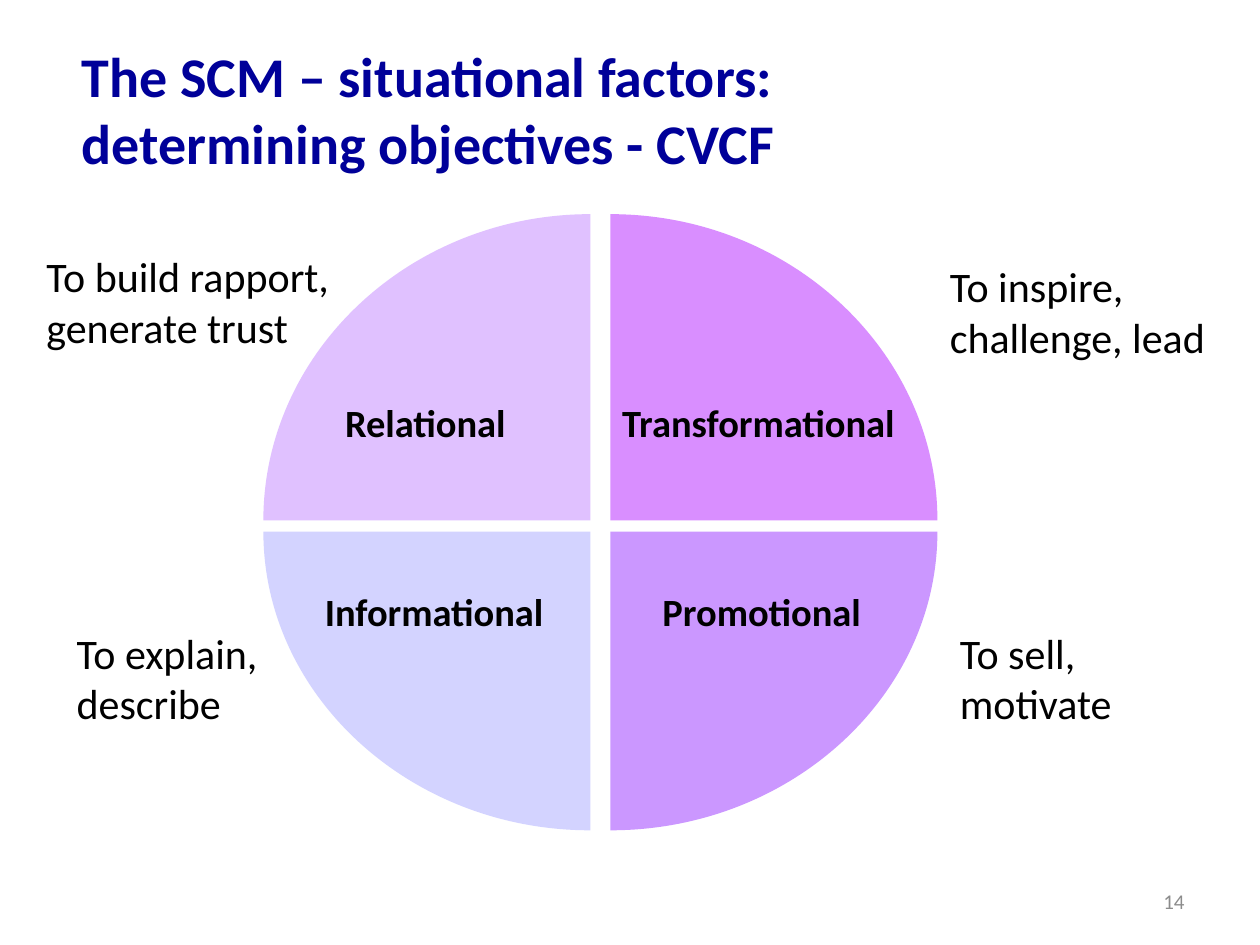
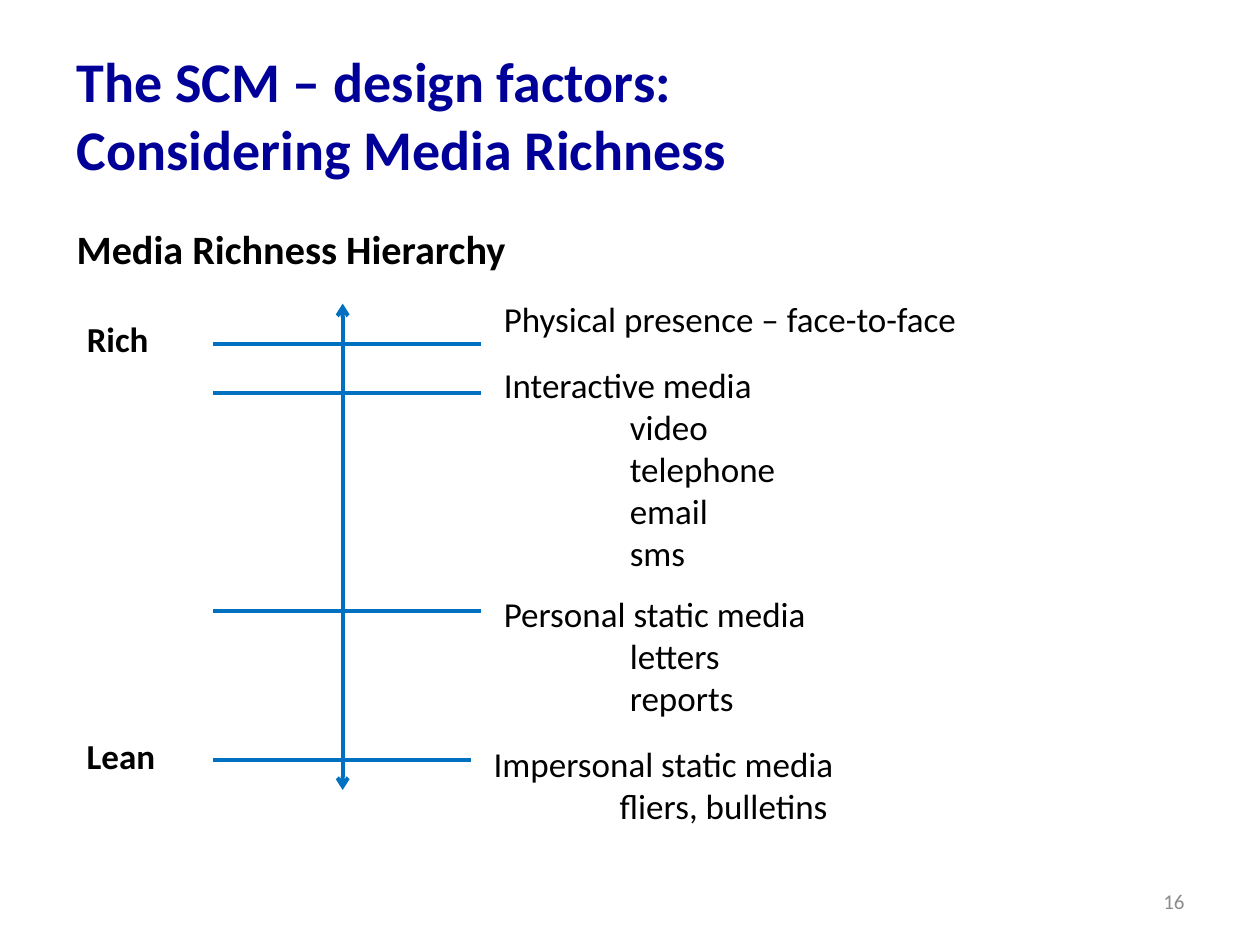
from lxml.etree import SubElement
from pptx import Presentation
from pptx.dml.color import RGBColor as RGB
from pptx.enum.shapes import MSO_CONNECTOR as LINE
from pptx.enum.text import MSO_ANCHOR as ANC, PP_ALIGN as ALIGN
from pptx.oxml.ns import qn
from pptx.util import Inches, Pt

FONT = "Calibri"
BEND = 0.55  # handle length of a quarter-ellipse curve
COLORS = {
    "title": "000099",
    "text": "000000",
    "number": "8C8C8C",
    "line": "0070C0",
    "relate": "D3A7FF",
    "transform": "C44FFF",
    "inform": "CCCCFF",
    "promote": "CB97FF",
}


def color(name):
    return RGB.from_string(COLORS[name])


def add_text(slide, box, lines, size, bold=False, ink="text",
             anchor=ANC.MIDDLE, align=ALIGN.LEFT, wrap=True, indent=0):
    """Write lines in a box; all lines after the first take the indent."""
    frame = slide.shapes.add_textbox(*map(Inches, box)).text_frame
    frame.word_wrap = wrap
    frame.vertical_anchor = anchor
    frame.text = "\n".join(lines)
    for i, par in enumerate(frame.paragraphs):
        par.alignment = align
        if i and indent:
            par._p.get_or_add_pPr().set("marL", str(Inches(indent)))
        for run in par.runs:
            font = run.font
            font.name, font.size, font.bold = FONT, Pt(size), bold
            font.color.rgb = color(ink)


def add_title(slide, box, lines, anchor=ANC.MIDDLE):
    add_text(slide, box, lines, 32, True, "title", anchor)


def add_number(slide, number):
    add_text(slide, (7.17, 6.95, 2.33, 0.4), [str(number)], 12,
             ink="number", align=ALIGN.RIGHT)


def add_line(slide, start, end, arrows=False):
    line = slide.shapes.add_connector(
        LINE.STRAIGHT, *map(Inches, (*start, *end)))
    line.line.color.rgb = color("line")
    line.line.width = Pt(2.25)
    if arrows:
        ln = line.line._get_or_add_ln()
        for end_tag in ("a:headEnd", "a:tailEnd"):
            SubElement(ln, qn(end_tag), type="arrow")
    SubElement(line._element.spPr, qn("a:effectLst"))


def add_quarter(slide, corner, reach, fill, alpha):
    """Quarter ellipse from its square corner; reach is signed (x, y)."""
    (x, y), (rx, ry) = corner, reach
    form = slide.shapes.build_freeform(Inches(x + rx), Inches(y))
    form.add_line_segments([(Inches(x), Inches(y + ry)),
                            (Inches(x), Inches(y))], close=True)
    shape = form.convert_to_shape()

    # Bend the slanted side into a curve
    side = next(shape._element.iter(qn("a:lnTo")))
    curve = side.makeelement(qn("a:cubicBezTo"))
    left, top = min(x, x + rx), min(y, y + ry)
    for u, v in [(1, BEND), (BEND, 1), (0, 1)]:
        SubElement(curve, qn("a:pt"), x=str(Inches(x + u * rx - left)),
                   y=str(Inches(y + v * ry - top)))
    side.getparent().replace(side, curve)

    shape.shadow.inherit = False
    shape.fill.solid()
    shape.fill.fore_color.rgb = color(fill)
    shape.line.fill.background()
    if alpha < 100:
        tint = shape._element.spPr.find(qn("a:solidFill"))[0]
        SubElement(tint, qn("a:alpha"), val=str(alpha * 1000))


def add_wheel(slide, box):
    """Four quarters parted by a cross-shaped gap."""
    left, top, width, height = box
    gap_x, gap_y = 0.16, 0.09
    rx, upper = (width - gap_x) / 2, 2.43
    lower = height - upper - gap_y
    quarters = [
        ("relate", 70, -1, -1), ("transform", 64, 1, -1),
        ("inform", 85, -1, 1), ("promote", 100, 1, 1),
    ]
    for fill, alpha, dx, dy in quarters:
        x = left + rx + (gap_x if dx > 0 else 0)
        y = top + upper + (gap_y if dy > 0 else 0)
        ry = lower if dy > 0 else upper
        add_quarter(slide, (x, y), (dx * rx, dy * ry), fill, alpha)

    # Names on the quarters: left, top, width relative to the wheel
    names = [
        ("Relational", 0.55, 1.42, 1.5),
        ("Informational", 0.39, 2.92, 1.97),
        ("Transformational", 2.75, 1.42, 2.43),
        ("Promotional", 3.07, 2.92, 1.8),
    ]
    for name, x, y, wide in names:
        add_text(slide, (left + x, top + y, wide, 0.47), [name], 22, True,
                 anchor=ANC.TOP, wrap=False)


def add_goals(slide):
    goals = [
        ((0.27, 1.94, 2.52, 1.18), ["To build rapport,", "generate trust"]),
        ((0.51, 4.93, 1.69, 1.18), ["To explain,", "describe"]),
        ((7.44, 2.02, 2.25, 1.58), ["To inspire,", "challenge, lead"]),
        ((7.52, 4.93, 1.43, 1.58), ["To sell,", "motivate"]),
    ]
    for box, lines in goals:
        add_text(slide, box, lines, 24, anchor=ANC.TOP, wrap=False)


def add_scale(slide, box):
    """Double arrow with a rung for each level of richness."""
    left, top, width, height = box
    for y, short in [(0.32, 0), (0.71, 0), (2.44, 0), (3.62, 0.08)]:
        add_line(slide, (left, top + y), (left + width - short, top + y))
    mid = left + 1.03
    add_line(slide, (mid, top), (mid, top + height), arrows=True)

    # Ends of the scale
    for name, y, wide in [("Rich", 0, 0.71), ("Lean", 3.31, 0.87)]:
        add_text(slide, (left - 1.1, top + y, wide, 0.55), [name], 20, True)


def add_media(slide):
    media = [
        (3.9, 2.25, ["Physical presence – face-to-face"]),
        (3.9, 3.44, ["Interactive media", "video", "telephone", "email", "sms"]),
        (3.9, 4.93, ["Personal static media", "letters", "reports"]),
        (3.82, 5.95, ["Impersonal static media", "fliers, bulletins"]),
    ]
    for x, y, lines in media:
        add_text(slide, (x, y, 4.44, 0.55), lines, 20, indent=1)


def wheel_slide(slide):
    add_wheel(slide, (2.09, 1.7, 5.35, 4.89))
    add_title(slide, (0.55, 0.28, 9.45, 1.25),
              ["The SCM – situational factors:",
               "determining objectives - CVCF"], ANC.TOP)
    add_goals(slide)
    add_number(slide, 14)


def media_slide(slide):
    add_title(slide, (0.51, 0.28, 8.5, 1.25),
              ["The SCM – design factors:", "Considering Media Richness"])
    add_text(slide, (0.51, 1.7, 8.5, 0.55), ["Media Richness Hierarchy"],
             23, True)
    add_scale(slide, (1.69, 2.41, 2.13, 3.86))
    add_media(slide)
    add_number(slide, 16)


def main():
    deck = Presentation()
    deck.slide_width, deck.slide_height = Inches(10), Inches(7.5)
    for build in (wheel_slide, media_slide):
        build(deck.slides.add_slide(deck.slide_layouts[6]))
    deck.save("out.pptx")


if __name__ == "__main__":
    main()
